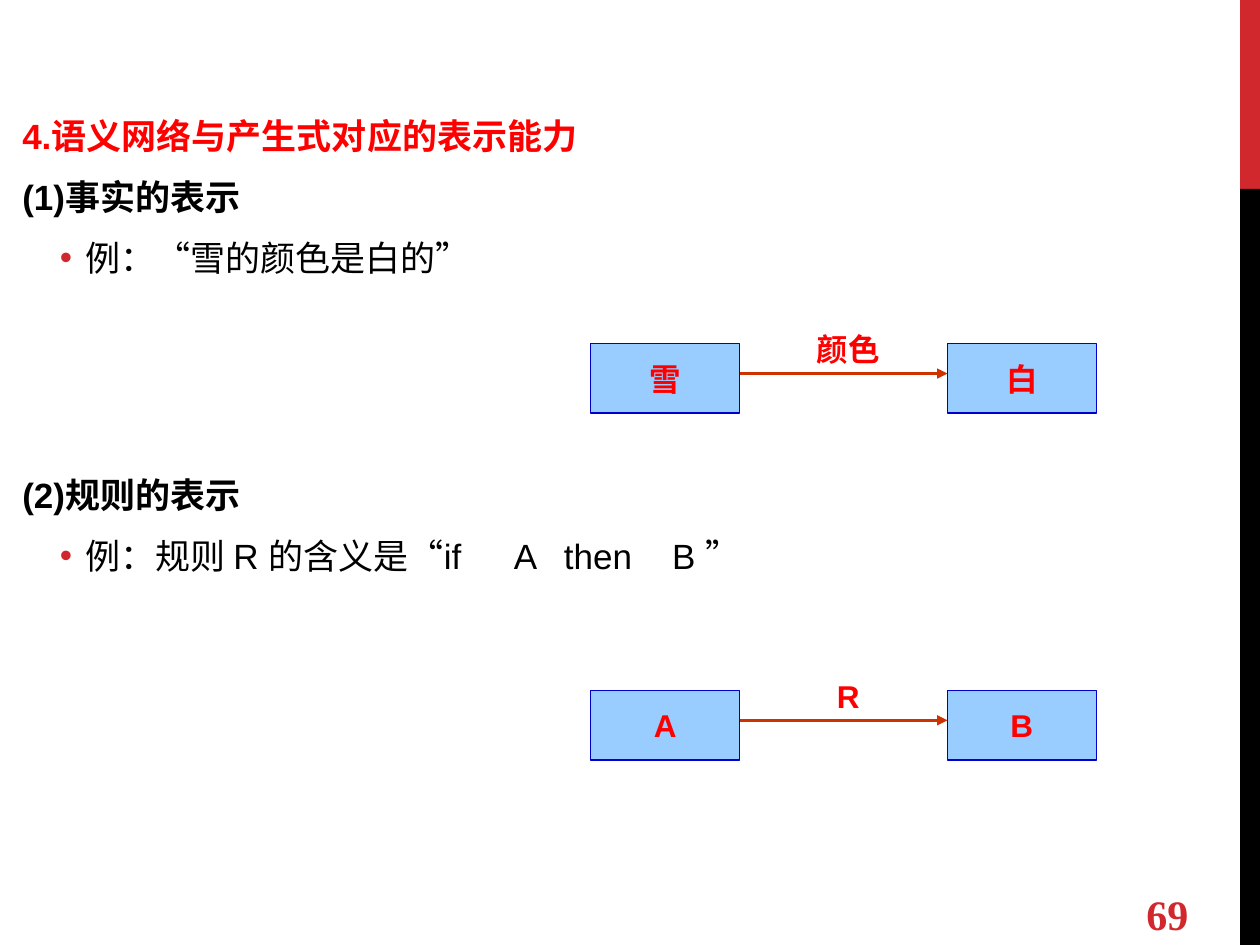
from lxml.etree import SubElement
from pptx import Presentation
from pptx.dml.color import RGBColor
from pptx.enum.shapes import MSO_CONNECTOR as LINK, MSO_SHAPE as SHAPE
from pptx.enum.text import MSO_ANCHOR as ANCHOR, PP_ALIGN as ALIGN
from pptx.oxml.ns import qn
from pptx.util import Cm, Pt

RED = RGBColor(0xFF, 0x00, 0x00)
CRIMSON = RGBColor(0xD1, 0x28, 0x2E)
BLACK = RGBColor(0x00, 0x00, 0x00)
SKY = RGBColor(0x99, 0xCC, 0xFF)
NAVY = RGBColor(0x00, 0x00, 0xCC)
RUST = RGBColor(0xCC, 0x33, 0x00)
SANS, SERIF = "Arial", "Times New Roman"


def add_run(para, text, size, color, bold=True, face=SANS):
    run = para.add_run()
    run.text = text
    font = run.font
    font.size, font.bold, font.name = Pt(size), bold, face
    font.color.rgb = color


def add_rect(shapes, left, top, width, height, fill):
    rect = shapes.add_shape(SHAPE.RECTANGLE, Cm(left), Cm(top), Cm(width), Cm(height))
    rect.shadow.inherit = False
    rect.fill.solid()
    rect.fill.fore_color.rgb = fill
    rect.line.fill.background()
    return rect


deck = Presentation()
deck.slide_width, deck.slide_height = Cm(25.4), Cm(19.05)
slide = deck.slides.add_slide(deck.slide_layouts[6])

# Side band
add_rect(slide.shapes, 25, 0, 0.4, 3.81, CRIMSON)
add_rect(slide.shapes, 25, 3.81, 0.4, 15.24, BLACK)

# Body: (bullet, space before, colour, runs)
LINES = [
    (False, 0, RED, [("4.语义网络与产生式对应的表示能力", SANS)]),
    (False, 5, BLACK, [("(1)事实的表示", SANS)]),
    (True, 5, BLACK, [("例：", SANS), ("“", SERIF), ("雪的颜色是白的", SANS), ("”", SERIF)]),
    (False, 105, BLACK, [("(2)规则的表示", SANS)]),
    (True, 5, BLACK, [("例：规则 R 的含义是", SANS), ("“", SERIF),
                      ("if\tA\tthen\tB ", SANS), ("”", SERIF)]),
]
STOPS = (9.91, 10.92, 13.1)

body = slide.shapes.add_textbox(Cm(0.2), Cm(2.18), Cm(24.97), Cm(11)).text_frame
body.word_wrap = True
for row, (bullet, before, color, runs) in enumerate(LINES):
    para = body.add_paragraph() if row else body.paragraphs[0]
    para.line_spacing = Pt(24)
    para.space_before, para.space_after = Pt(before), Pt(6)
    if bullet:
        para.level = 1
        props = para._p.get_or_add_pPr()
        props.set("marL", str(Cm(1.27)))
        props.set("indent", str(Cm(-0.51)))
        tint = SubElement(props, qn("a:buClr"))
        SubElement(tint, qn("a:srgbClr"), val=str(CRIMSON))
        SubElement(props, qn("a:buFont"), typeface=SANS)
        SubElement(props, qn("a:buChar"), char="•")
        tabs = SubElement(props, qn("a:tabLst"))
        for stop in STOPS:
            SubElement(tabs, qn("a:tab"), pos=str(Cm(stop)), algn="l")
    for text, face in runs:
        add_run(para, text, 20, color, not bullet, face)

# Semantic nets: two nodes joined by a labelled arrow
WIDE, HIGH = 3, 1.4
FROM, TO = 11.91, 19.1
for top, start, label, end in ((6.93, "雪", "颜色", "白"), (13.92, "A", "R", "B")):
    net = slide.shapes.add_group_shape().shapes
    for left, name in ((FROM, start), (TO, end)):
        node = add_rect(net, left, top, WIDE, HIGH, SKY)
        node.line.color.rgb = NAVY
        node.line.width = Pt(0.75)
        frame = node.text_frame
        frame.word_wrap = False
        frame.vertical_anchor = ANCHOR.MIDDLE
        frame.paragraphs[0].alignment = ALIGN.CENTER
        add_run(frame.paragraphs[0], name, 18, RED)

    level = Cm(top + 0.6)
    arrow = net.add_connector(LINK.STRAIGHT, Cm(FROM + WIDE), level, Cm(TO), level)
    arrow.line.color.rgb = RUST
    arrow.line.width = Pt(1.5)
    SubElement(arrow.line._get_or_add_ln(), qn("a:tailEnd"), type="triangle")
    SubElement(arrow._element.spPr, qn("a:effectLst"))

    frame = net.add_textbox(Cm(15.7), Cm(top - 0.4), Cm(2.8), Cm(1.02)).text_frame
    frame.word_wrap = True
    frame.paragraphs[0].alignment = ALIGN.CENTER
    add_run(frame.paragraphs[0], label, 18, RED)

# Page number
page = slide.shapes.add_textbox(Cm(22.86), Cm(17.91), Cm(3.66), Cm(1.02)).text_frame
page.word_wrap = True
page.vertical_anchor = ANCHOR.MIDDLE
add_run(page.paragraphs[0], "69", 24, CRIMSON, face=SERIF)

deck.save("out.pptx")
